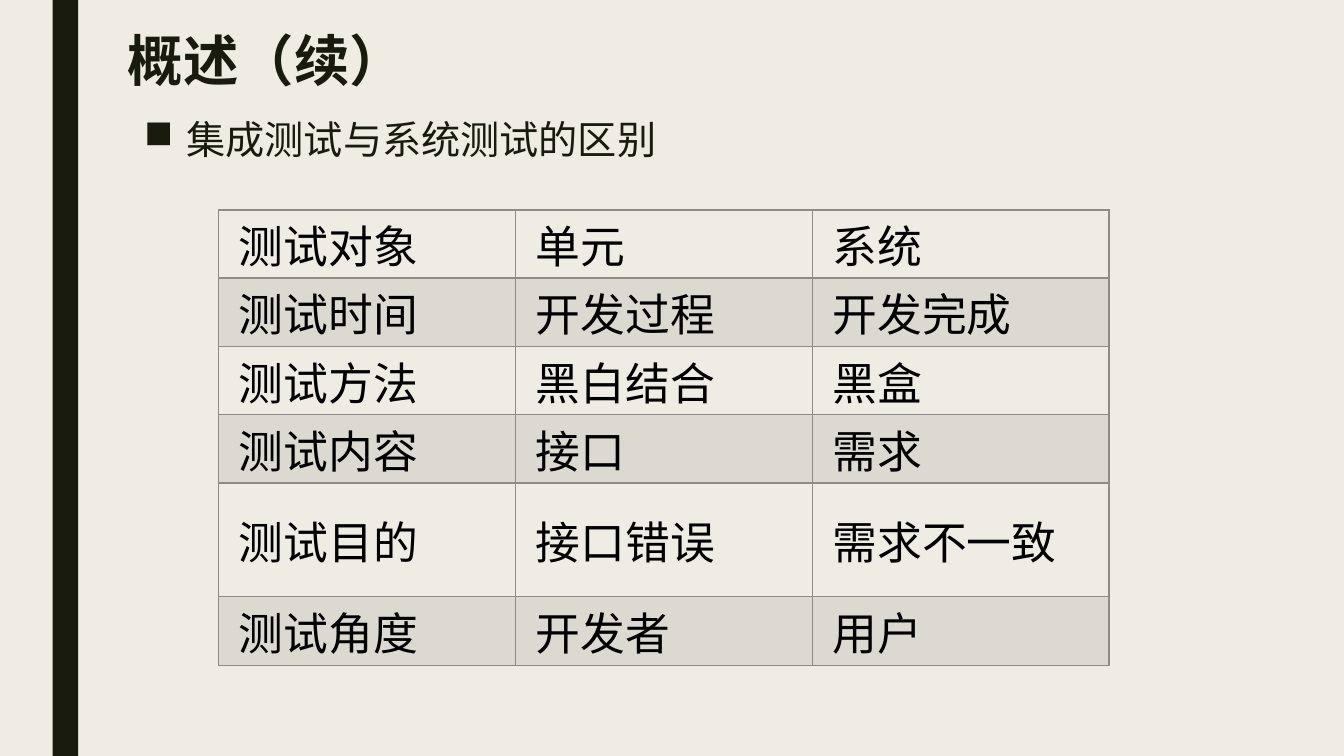
from dataclasses import dataclass
from lxml import etree
from pptx import Presentation
from pptx.dml.color import RGBColor
from pptx.enum.shapes import MSO_SHAPE
from pptx.enum.text import MSO_ANCHOR, MSO_AUTO_SIZE, PP_ALIGN
from pptx.oxml.ns import qn
from pptx.util import Cm, Pt

RECT = MSO_SHAPE.RECTANGLE
MIDDLE = MSO_ANCHOR.MIDDLE
FIXED = MSO_AUTO_SIZE.NONE
LEFT, JUSTIFY = PP_ALIGN.LEFT, PP_ALIGN.JUSTIFY


@dataclass(frozen=True)
class Theme:
    """Colours, font and type sizes of the slide."""
    paper: str = "EFEDE3"
    ink: str = "191B0E"
    black: str = "000000"
    grey: str = "8C8D86"
    font: str = "Roboto"
    title: float = 39.6
    body: float = 28
    cell: float = 32


THEME = Theme()
ROWS = [
    ("测试对象", "单元", "系统"),
    ("测试时间", "开发过程", "开发完成"),
    ("测试方法", "黑白结合", "黑盒"),
    ("测试内容", "接口", "需求"),
    ("测试目的", "接口错误", "需求不一致"),
    ("测试角度", "开发者", "用户"),
]
TALL = 4


def paint(fill, color):
    """Give a fill one solid colour."""
    fill.solid()
    fill.fore_color.rgb = RGBColor.from_string(color)


def style(para, size, color, bold=False):
    """Set the font of a paragraph."""
    font = para.font
    font.name, font.size, font.bold = THEME.font, Pt(size), bold
    font.color.rgb = RGBColor.from_string(color)


def add_bar(slide):
    """Draw the dark bar down the left side."""
    bar = slide.shapes.add_shape(RECT, Cm(1.33), 0, Cm(0.64), Cm(19.05))
    bar.shadow.inherit = False
    paint(bar.fill, THEME.ink)
    bar.line.fill.background()


def set_title(slide, text):
    """Place and format the title."""
    title = slide.shapes.title
    title.left, title.top = Cm(2.97), Cm(0.81)
    title.width, title.height = Cm(26.67), Cm(1.57)
    frame = title.text_frame
    frame.text, frame.auto_size = text, FIXED
    frame.vertical_anchor = MIDDLE
    para = frame.paragraphs[0]
    para.alignment, para.line_spacing = LEFT, 0.89
    style(para, THEME.title, THEME.ink, True)


def add_point(slide, text):
    """Add the text box with one square bullet."""
    box = slide.shapes.add_textbox(Cm(3.38), Cm(2.87), Cm(26.67), Cm(1.5))
    frame = box.text_frame
    frame.word_wrap, frame.text = True, text
    para = frame.paragraphs[0]
    para.line_spacing, para.space_after = 0.94, Pt(2)
    props = para._p.get_or_add_pPr()
    props.set("marL", str(Cm(1.07)))
    props.set("indent", str(-Cm(1.07)))
    etree.SubElement(props, qn("a:buChar"), char="■")
    style(para, THEME.body, THEME.ink)


def add_edge(cell, side, width):
    """Draw one border of a cell."""
    props = cell._tc.get_or_add_tcPr()
    line = etree.SubElement(props, qn(f"a:ln{side}"), w=str(Pt(width)))
    solid = etree.SubElement(line, qn("a:solidFill"))
    etree.SubElement(solid, qn("a:srgbClr"), val=THEME.grey)


def fill_cell(cell, text, row, col):
    """Write and format one table cell."""
    cell.text, cell.vertical_anchor = text, MIDDLE
    cell.margin_left, cell.margin_right = Cm(0.51), Cm(0.18)
    cell.margin_top = cell.margin_bottom = 0
    para = cell.text_frame.paragraphs[0]
    para.alignment = JUSTIFY if col else LEFT
    style(para, THEME.cell, THEME.black)
    for side in "LRTB":
        add_edge(cell, side, 2 if row == 0 and side == "B" else 1)
    if row % 2:
        paint(cell.fill, THEME.grey)
        color = cell._tc.tcPr.find(f".//{qn('a:solidFill')}/..")
        color = cell._tc.tcPr.find(f"{qn('a:solidFill')}/{qn('a:srgbClr')}")
        etree.SubElement(color, qn("a:alpha"), val="20000")
    else:
        cell.fill.background()


def add_grid(slide, rows):
    """Add the table that compares the two kinds of test."""
    wide, high, tall = Cm(7.48), Cm(1.72), Cm(2.87)
    count = len(rows[0])
    size = wide * count, high * (len(rows) - 1) + tall
    grid = slide.shapes.add_table(len(rows), count, Cm(5.51), Cm(5.29), *size).table
    grid.first_row = grid.horz_banding = False
    for col in grid.columns:
        col.width = wide
    for row, texts in enumerate(rows):
        grid.rows[row].height = tall if row == TALL else high
        for col, text in enumerate(texts):
            fill_cell(grid.cell(row, col), text, row, col)


def main():
    """Build and save the slide."""
    deck = Presentation()
    deck.slide_width, deck.slide_height = Cm(33.87), Cm(19.05)
    slide = deck.slides.add_slide(deck.slide_layouts[5])
    paint(slide.background.fill, THEME.paper)
    add_bar(slide)
    set_title(slide, "概述（续）")
    add_point(slide, "集成测试与系统测试的区别")
    add_grid(slide, ROWS)
    deck.save("out.pptx")


if __name__ == "__main__":
    main()
